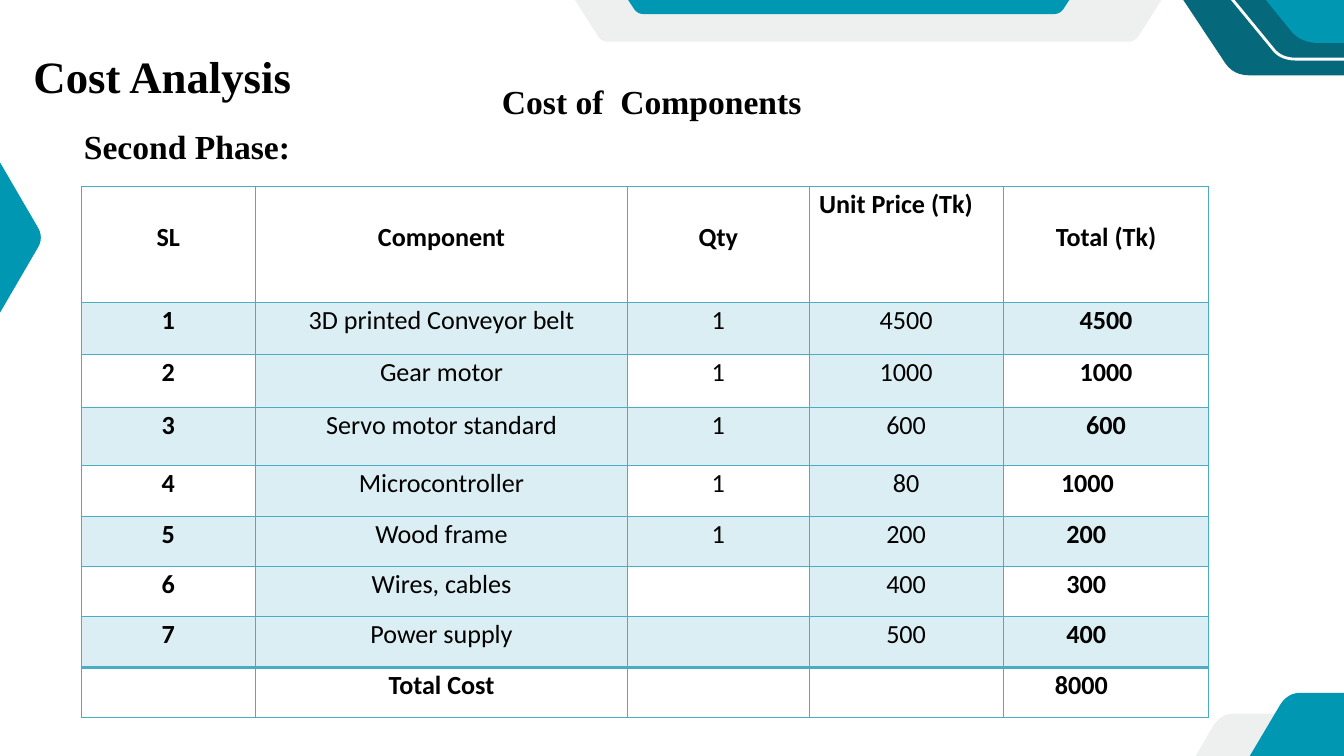
from lxml import etree
from pptx import Presentation
from pptx.dml.color import RGBColor
from pptx.enum import text
from pptx.oxml import ns
from pptx.util import Inches, Pt

COLORS = {"teal": "0097B2", "deep": "05697B", "pale": "EDF0EF",
          "white": "FFFFFF", "ink": "000000", "grid": "4BACC6"}

# left, top, width, height, flat edge x, slant x, slant y, tip x, tip half height, fill
HEXAGONS = [
    (7.94, -2.6, 9.96, 3.22, 1.1, 0.96, 0.08, 0.03, 0.07, "pale"),
    (8.84, -1.8, 7.58, 2.01, 0.74, 0.6, 0.07, 0.03, 0.07, "teal"),
    (15.71, -6.97, 9.34, 8.09, 2.87, 2.53, 0.17, 0.07, 0.17, "deep"),
    (17.77, -3.39, 5.28, 4.03, 1.85, 1.45, 0.17, 0.08, 0.16, "teal"),
    (17.69, -2.59, 5.49, 3.47, 1.59, 1.28, 0.12, 0.06, 0.13, None),
    (17.04, 10.62, 5.6, 3.95, 1.32, 1.01, 0.19, 0.07, 0.18, "pale"),
    (18.5, 10.31, 3.43, 2.37, 0.85, 0.55, 0.18, 0.06, 0.18, "teal"),
    (-4.21, 2.18, 4.83, 2.71, 0.92, 0.67, 0.15, 0.05, 0.14, "teal"),
]
HEADINGS = [
    ("Cost Analysis", 48, (0.4, 0.68, 4.35, 0.91)),
    ("Cost of  Components", 36, (7.37, 1.15, 5.72, 0.71)),
    ("Second Phase:", 36, (1.15, 1.83, 3.64, 0.71)),
]
COSTS = [
    ("SL", "Component", "Qty", "Unit Price (Tk)", "Total (Tk)"),
    ("1", "3D printed Conveyor belt", "1", "4500", "4500"),
    ("2", "Gear motor", "1", "1000", "1000"),
    ("3", "Servo motor standard", "1", "600", "600"),
    ("4", "Microcontroller", "1", "80", "1000"),
    ("5", "Wood frame", "1", "200", "200"),
    ("6", "Wires, cables", "", "400", "300"),
    ("7", "Power supply", "", "500", "400"),
    ("", "Total Cost", "", "", "8000"),
]
COLUMN_WIDTHS = [2.59, 5.54, 2.7, 2.89, 3.06]
ROW_HEIGHTS = [1.73, 0.78, 0.78, 0.87] + [0.75] * 5
LEFT_INDENTS = {(0, 3): 0.15, (4, 4): 0.86, (5, 4): 0.94, (6, 4): 0.94,
                (7, 4): 0.94, (8, 4): 0.77}
TOTAL_ROW = len(COSTS) - 1


def rgb(name):
    return RGBColor.from_string(COLORS[name])


def assign(target, **values):
    for key, value in values.items():
        setattr(target, key, value)


def write(paragraph, words, size, face, bold):
    run = paragraph.add_run()
    run.text = words
    assign(run.font, size=Pt(size), name=face, bold=bold)
    run.font.color.rgb = rgb("ink")


def curve(p0, p1, p2, p3, steps=6):
    for step in range(steps + 1):
        t = step / steps
        weights = ((1 - t) ** 3, 3 * t * (1 - t) ** 2, 3 * t * t * (1 - t), t ** 3)
        yield tuple(sum(w * p[axis] for w, p in zip(weights, (p0, p1, p2, p3)))
                    for axis in (0, 1))


def add_hexagon(slide, left, top, width, height, flat, slant, drop, tip, half, fill):
    middle = height / 2
    corner = list(curve((slant, drop), (slant + 0.22 * (flat - slant), 0.38 * drop),
                        (slant + 0.57 * (flat - slant), 0), (flat, 0)))
    side = list(curve((tip, middle + half), (0, middle + 0.35 * half),
                      (0, middle - 0.35 * half), (tip, middle - half)))
    lower_left = [(x, height - y) for x, y in reversed(corner)]
    left_half = lower_left + side + corner
    outline = left_half + [(width - x, y) for x, y in reversed(left_half)]
    points = [(Inches(left + x), Inches(top + y)) for x, y in outline]
    builder = slide.shapes.build_freeform(*points[0])
    builder.add_line_segments(points[1:], close=True)
    hexagon = builder.convert_to_shape()
    hexagon.shadow.inherit = False
    if fill:
        hexagon.fill.solid()
        hexagon.fill.fore_color.rgb = rgb(fill)
        hexagon.line.fill.background()
    else:
        hexagon.fill.background()
        hexagon.line.color.rgb = rgb("white")
        hexagon.line.width = Pt(3)


def add_heading(slide, words, size, place):
    frame = slide.shapes.add_textbox(*map(Inches, place)).text_frame
    frame.word_wrap = True
    write(frame.paragraphs[0], words, size, "Times New Roman", True)


def paint_cell(cell, row, column):
    properties = cell._tc.get_or_add_tcPr()
    if 0 < row < TOTAL_ROW and (row % 2 or column % 2):
        cell.fill.solid()
        cell.fill.fore_color.rgb = rgb("grid")
        tint = properties.find(".//" + ns.qn("a:srgbClr"))
        etree.SubElement(tint, ns.qn("a:alpha"), val="20000")
    else:
        cell.fill.background()
    widths = {"L": 1, "R": 1, "T": 4 if row == TOTAL_ROW else 1,
              "B": {0: 2, TOTAL_ROW - 1: 4}.get(row, 1)}
    for position, (edge, width) in enumerate(widths.items()):
        border = etree.Element(ns.qn("a:ln" + edge), w=str(Pt(width)))
        solid = etree.SubElement(border, ns.qn("a:solidFill"))
        etree.SubElement(solid, ns.qn("a:srgbClr"), val=COLORS["grid"])
        properties.insert(position, border)


def add_costs(slide):
    table = slide.shapes.add_table(
        len(COSTS), len(COLUMN_WIDTHS), Inches(1.21), Inches(2.77),
        Inches(sum(COLUMN_WIDTHS)), Inches(sum(ROW_HEIGHTS))).table
    assign(table, first_row=False, horz_banding=False)
    for column, width in zip(table.columns, COLUMN_WIDTHS):
        column.width = Inches(width)
    for row, height in zip(table.rows, ROW_HEIGHTS):
        row.height = Inches(height)
    for row, entries in enumerate(COSTS):
        for column, words in enumerate(entries):
            cell = table.cell(row, column)
            indent = LEFT_INDENTS.get((row, column))
            top = 0.5 if row == 0 and indent is None else 0
            assign(cell, margin_left=Inches(indent or 0), margin_right=0,
                   margin_top=Inches(top), margin_bottom=0)
            paint_cell(cell, row, column)
            if words:
                paragraph = cell.text_frame.paragraphs[0]
                align = text.PP_ALIGN.LEFT if indent else text.PP_ALIGN.CENTER
                assign(paragraph, alignment=align, line_spacing=1.07)
                bold = row in (0, TOTAL_ROW) or column in (0, 4)
                write(paragraph, words, 28, "Calibri", bold)


def main():
    deck = Presentation()
    assign(deck, slide_width=Inches(20), slide_height=Inches(11.25))
    slide = deck.slides.add_slide(deck.slide_layouts[6])
    for hexagon in HEXAGONS:
        add_hexagon(slide, *hexagon)
    for heading in HEADINGS:
        add_heading(slide, *heading)
    add_costs(slide)
    deck.save("out.pptx")


if __name__ == "__main__":
    main()
